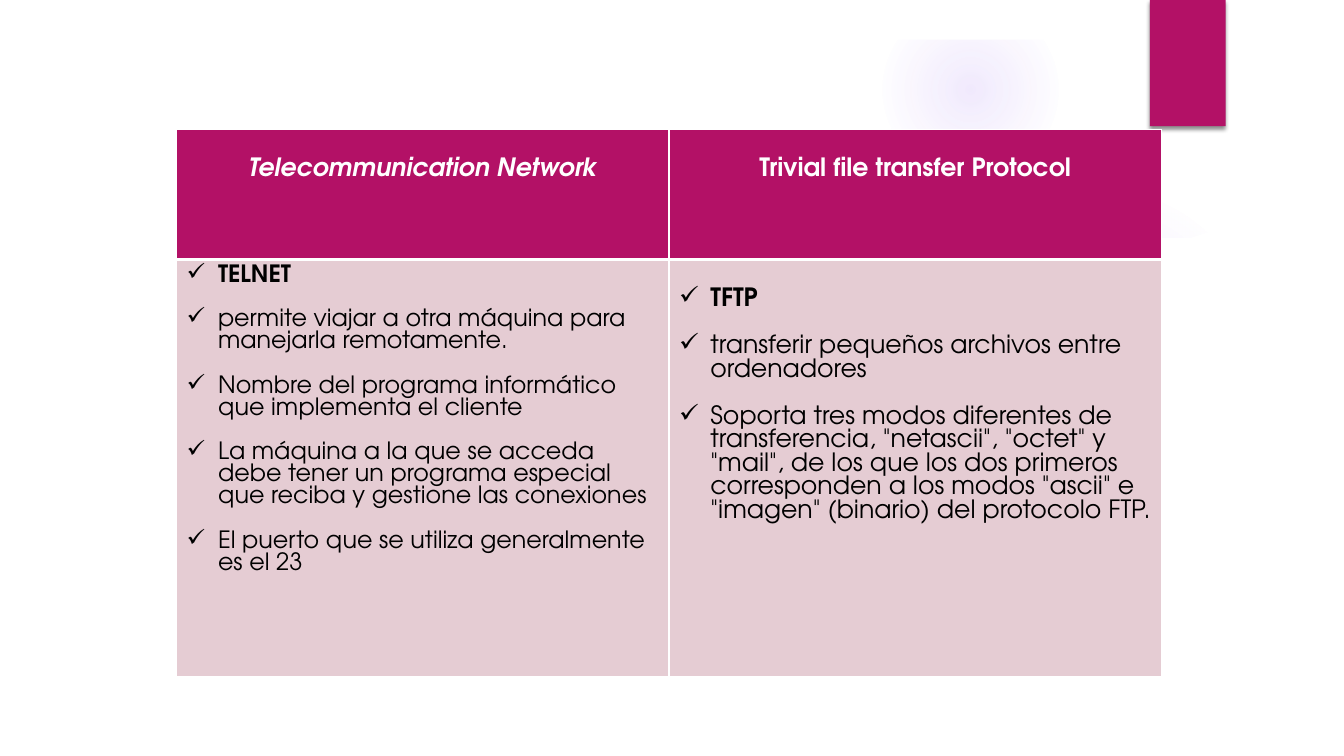
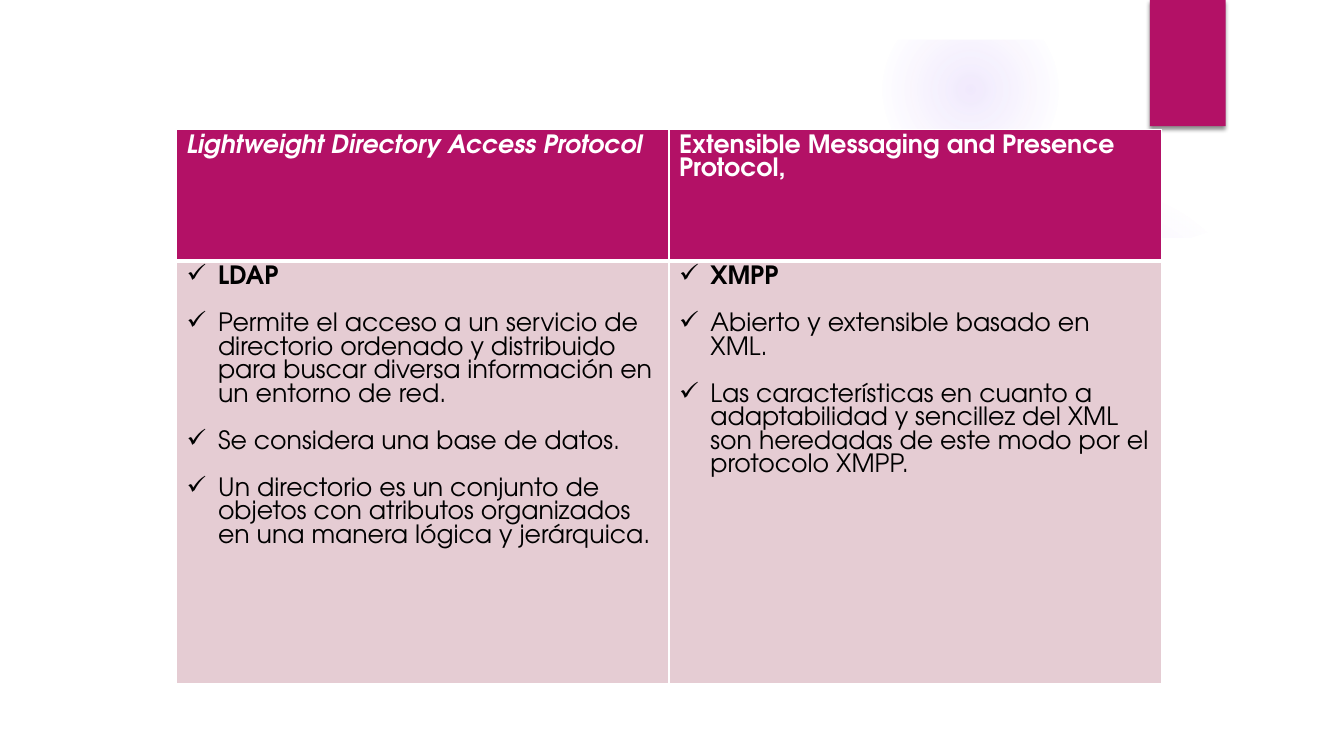
from pptx import Presentation
from pptx.dml.color import RGBColor
from pptx.enum.shapes import MSO_SHAPE as SHAPE
from pptx.enum.text import PP_ALIGN as ALIGN
from pptx.oxml import parse_xml
from pptx.oxml.ns import nsdecls
from pptx.util import Cm, Pt

# Content: one dict per slide, one column per protocol
SLIDES = [
    {
        "rows": (3.28, 10.52),
        "header": {"align": ALIGN.CENTER, "skip": 1},
        "columns": [
            {"name": "Telecommunication Network", "size": 17, "skip": 0,
             "items": [
                 "TELNET",
                 "permite viajar a otra máquina para manejarla remotamente.",
                 "Nombre del programa informático que implementa el cliente",
                 "La máquina a la que se acceda debe tener un programa especial "
                 "que reciba y gestione las conexiones",
                 "El puerto que se utiliza generalmente es el 23"]},
            {"name": "Trivial file transfer Protocol", "size": 18, "skip": 1,
             "items": [
                 "TFTP",
                 "transferir pequeños archivos entre ordenadores",
                 'Soporta tres modos diferentes de transferencia, "netascii", '
                 '"octet" y "mail", de los que los dos primeros corresponden a '
                 'los modos "ascii" e "imagen" (binario) del protocolo FTP.']},
        ],
    },
    {
        "rows": (3.32, 10.64),
        "header": {"align": ALIGN.LEFT, "skip": 0},
        "columns": [
            {"name": "Lightweight Directory Access Protocol", "size": 18, "skip": 0,
             "items": [
                 "LDAP",
                 "Permite el acceso a un servicio de directorio ordenado y "
                 "distribuido para buscar diversa información en un entorno de red.",
                 "Se considera una base de datos.",
                 "Un directorio es un conjunto de objetos con atributos "
                 "organizados en una manera lógica y jerárquica."]},
            {"name": "Extensible Messaging and Presence Protocol,", "size": 18, "skip": 0,
             "items": [
                 "XMPP",
                 "Abierto y extensible basado en XML.",
                 "Las características en cuanto a adaptabilidad y sencillez del "
                 "XML son heredadas de este modo por el protocolo XMPP."]},
        ],
    },
]

# Style
FONT = "TeX Gyre Adventor"
MAGENTA = RGBColor(0xB3, 0x11, 0x66)
ROSE = RGBColor(0xE5, 0xCC, 0xD3)
VIOLET = RGBColor(0x9B, 0x6B, 0xF2)
WHITE = RGBColor(0xFF, 0xFF, 0xFF)
BLACK = RGBColor(0, 0, 0)
LINE = 0.93            # line pitch as a share of the text size
HEADER_SIZE = 18
INDENT = Cm(0.79)
PAGE_W, PAGE_H, EDGE = 33.87, 19.05, 1.32
TABLE_X, TABLE_Y, COL_W = 4.45, 3.26, 12.41

# Background: left, top, diameter in cm; gradient stops as (position %, opacity %)
GLOWS = [
    (23.9, 4.65, 7.82, [(0, 7), (36, 6), (69, 0)]),
    (22.23, 0.03, 4.45, [(0, 14), (36, 7), (73, 0)]),
]
WAVE = [(32.61, 5.18), (30.48, 5.51), (28.35, 5.77), (26.21, 5.96), (24.1, 6.12),
        (21.34, 6.25), (17.98, 6.3), (14.81, 6.25), (11.28, 6.12), (7.19, 5.84),
        (4.04, 5.54), (1.27, 5.18)]
WAVE_BOTTOM = 17.78


def paint(sp, color):
    sp.shadow.inherit = False
    sp.line.fill.background()
    sp.fill.solid()
    sp.fill.fore_color.rgb = color


def add_glow(shapes, x, y, d, stops):
    sp = shapes.add_shape(SHAPE.OVAL, Cm(x), Cm(y), Cm(d), Cm(d))
    paint(sp, VIOLET)
    gs = "".join(f'<a:gs pos="{pos * 1000}"><a:srgbClr val="{VIOLET}">'
                 f'<a:alpha val="{alpha * 1000}"/></a:srgbClr></a:gs>'
                 for pos, alpha in stops)
    solid = sp.element.spPr.find("{*}solidFill")
    solid.getparent().replace(solid, parse_xml(
        f'<a:gradFill {nsdecls("a")} rotWithShape="1"><a:gsLst>{gs}</a:gsLst>'
        '<a:path path="circle"><a:fillToRect l="50000" t="50000" r="50000" b="50000"/>'
        '</a:path></a:gradFill>'))


def add_outline(shapes, *contours):
    (x, y), scale = contours[0][0], Cm(1)
    builder = shapes.build_freeform(x, y, scale=scale)
    for i, points in enumerate(contours):
        if i:
            builder.move_to(*points[0])
        builder.add_line_segments(points[1:], close=True)
    paint(builder.convert_to_shape(), WHITE)


def add_tab(shapes):
    sp = shapes.add_shape(SHAPE.RECTANGLE, Cm(28.98), 0, Cm(1.91), Cm(3.18))
    paint(sp, MAGENTA)
    sp.element.spPr.find("{*}effectLst").append(parse_xml(
        f'<a:outerShdw {nsdecls("a")} blurRad="{Pt(3)}" dist="{Pt(2)}" dir="5400000" '
        'rotWithShape="0"><a:srgbClr val="000000"><a:alpha val="45000"/></a:srgbClr>'
        '</a:outerShdw>'))


def add_background(slide, layout):
    """Draw the shared decoration and move it to the layout."""
    for glow in GLOWS:
        add_glow(slide.shapes, *glow)
    add_outline(slide.shapes,
                WAVE + [(WAVE[-1][0], WAVE_BOTTOM), (WAVE[0][0], WAVE_BOTTOM)])
    right, bottom = PAGE_W - EDGE, PAGE_H - EDGE
    add_outline(slide.shapes,
                [(0, 0), (0, PAGE_H), (PAGE_W, PAGE_H), (PAGE_W, 0)],
                [(right, bottom), (EDGE, bottom), (EDGE, EDGE), (right, EDGE)])
    add_tab(slide.shapes)
    for sp in list(slide.shapes):
        layout.shapes.element.append(sp.element)


def style_cell(cell, color, top, bottom, size, skip):
    """Fill and borders; skip leaves that many lines free above the text."""
    cell.fill.solid()
    cell.fill.fore_color.rgb = color
    cell.margin_top = Cm(0.13) + Pt(size * LINE * skip)
    tcPr = cell._tc.get_or_add_tcPr()
    for i, (side, width) in enumerate(zip("LRTB", (1, 1, top, bottom))):
        tcPr.insert(i, parse_xml(
            f'<a:ln{side} {nsdecls("a")} w="{Pt(width)}"><a:solidFill>'
            f'<a:srgbClr val="{WHITE}"/></a:solidFill></a:ln{side}>'))


def format_text(p, size, color, bold, italic=False):
    font = p.runs[0].font
    font.name, font.size, font.bold, font.italic = FONT, Pt(size), bold, italic
    font.color.rgb = color


def fill_header(cell, name, align, skip, italic):
    style_cell(cell, MAGENTA, 1, 3, HEADER_SIZE, skip)
    p = cell.text_frame.paragraphs[0]
    p.text, p.alignment = name, align
    format_text(p, HEADER_SIZE, WHITE, True, italic)


def fill_list(cell, items, size, skip):
    style_cell(cell, ROSE, 3, 1, size, skip)
    tf = cell.text_frame
    for i, item in enumerate(items):
        p = tf.add_paragraph() if i else tf.paragraphs[0]
        p.text = item
        p.space_before = Pt(size * LINE) if i else Pt(0)
        format_text(p, size, BLACK, i == 0)
        pPr = p._p.get_or_add_pPr()
        pPr.set("marL", str(INDENT))
        pPr.set("indent", str(-INDENT))
        pPr.append(parse_xml(f'<a:buChar {nsdecls("a")} char="✓"/>'))


def add_comparison(slide, rows, header, columns):
    n = len(columns)
    table = slide.shapes.add_table(len(rows), n, Cm(TABLE_X), Cm(TABLE_Y),
                                   Cm(COL_W * n), Cm(sum(rows))).table
    for row, height in zip(table.rows, rows):
        row.height = Cm(height)
    for c, column in enumerate(columns):
        table.columns[c].width = Cm(COL_W)
        fill_header(table.cell(0, c), column["name"], italic=c == 0, **header)
        fill_list(table.cell(1, c), column["items"], column["size"], column["skip"])


# Build the slides
prs = Presentation()
prs.slide_width, prs.slide_height = Cm(PAGE_W), Cm(PAGE_H)
blank = prs.slide_layouts[6]
for i, content in enumerate(SLIDES):
    slide = prs.slides.add_slide(blank)
    if i == 0:
        add_background(slide, blank)
    add_comparison(slide, **content)
prs.save("out.pptx")
